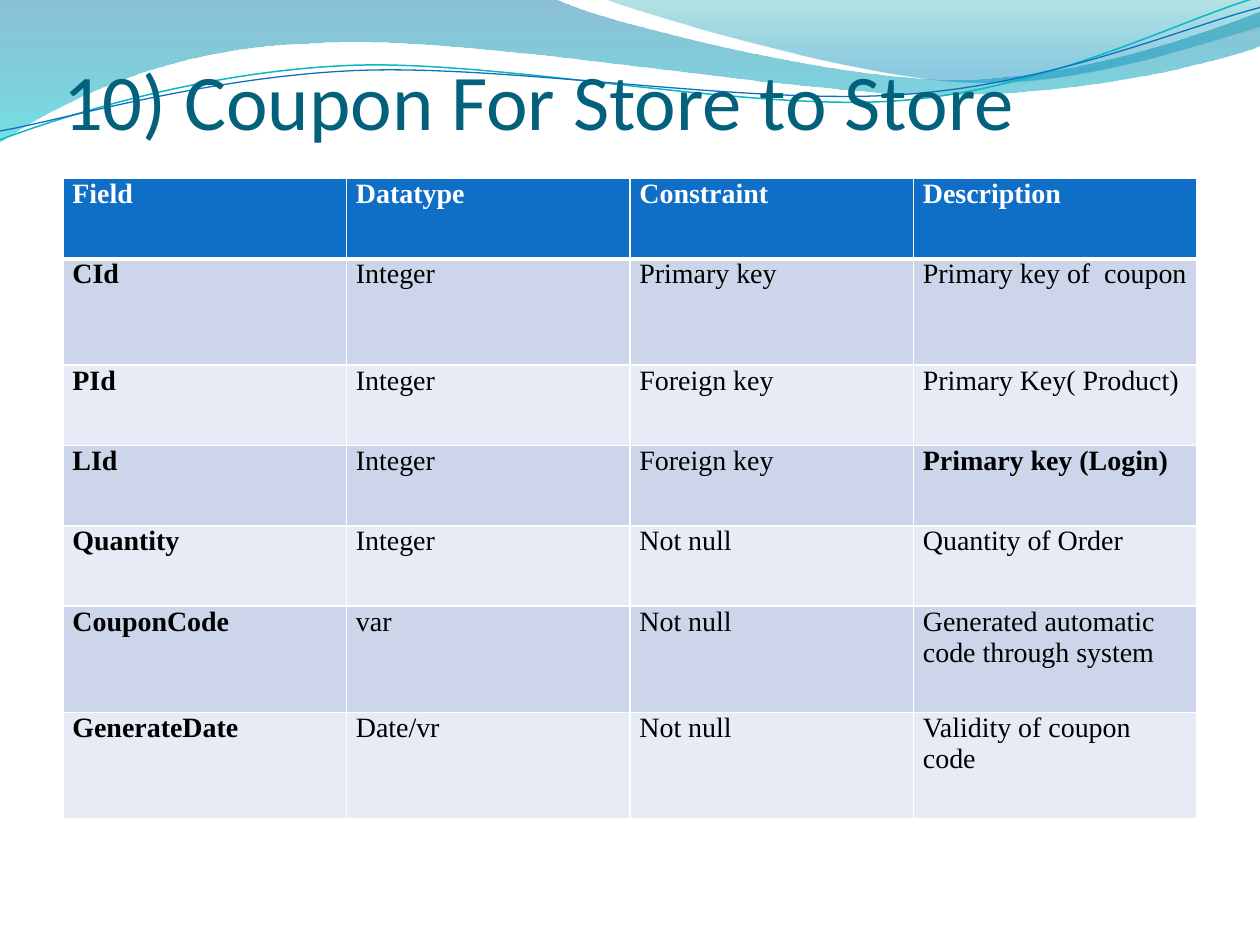
"""Build the coupon data dictionary slide with its wave header and field table."""
from dataclasses import dataclass

from lxml.etree import SubElement
from pptx import Presentation
from pptx.dml.color import RGBColor
from pptx.enum.text import MSO_ANCHOR, MSO_AUTO_SIZE, PP_ALIGN
from pptx.oxml import parse_xml
from pptx.oxml.ns import nsdecls, qn
from pptx.util import Cm, Pt

COLORS = {
    "title": "04617B", "header": "0F6FC6", "band_dark": "CCD5EA", "band_light": "E7EBF5",
    "white": "FFFFFF", "black": "000000", "deep_blue": "0074A1", "cyan": "00C6CF",
    "teal": "00A1A9", "sky": "008BBF", "teal_line": "0AB8BF",
}
CM_PER_INCH = 2.54
Point = tuple[float, float]


@dataclass
class Stop:
    color: str
    position: float
    opacity: int


@dataclass
class Wave:
    """Outline in inches: one point is a straight edge, three points are a curve."""
    start: Point
    segments: list[list[Point]]
    stops: tuple[Stop, ...] = ()
    line: str = ""
    line_width: float = 0


@dataclass
class Field:
    name: str
    datatype: str
    constraint: str
    description: str
    height: float = 1.62
    space_after: int = 0
    bold_description: bool = False


WAVES = [
    Wave((0, 0), [
        [(4.4, -0.01)],
        [(4.76, 0.17), (6.64, 0.63), (7.58, 0.63)],
        [(8.53, 0.63), (9.58, 0.26), (10, 0.09)],
        [(10.01, 0.36)],
        [(9.83, 0.44), (8.7, 0.76), (7.46, 0.75)],
        [(6.22, 0.75), (3.82, 0.28), (2.57, 0.34)],
        [(1.29, 0.36), (0.46, 0.83), (-0.01, 1.13)],
    ], stops=(Stop("deep_blue", 0, 45), Stop("cyan", 1, 55))),
    Wave((4.79, -0.01), [
        [(5.09, 0.11), (6.82, 0.62), (7.69, 0.65)],
        [(8.56, 0.69), (9.61, 0.32), (10, 0.21)],
        [(10, 0)],
    ], stops=(Stop("teal", 0, 30), Stop("sky", 0.8, 45))),
    Wave((0, 1.11), [
        [(0.48, 0.93), (1.58, 0.57), (2.77, 0.52)],
        [(3.95, 0.47), (5.93, 0.89), (7.13, 0.8)],
        [(8.33, 0.71), (9.38, 0.15), (9.98, -0.02)],
    ], line="teal_line", line_width=0.85),
    Wave((0, 1.04), [
        [(0.47, 0.96), (1.64, 0.61), (2.83, 0.56)],
        [(4.03, 0.51), (5.97, 0.84), (7.17, 0.75)],
        [(8.36, 0.67), (9.41, 0.21), (10, 0.06)],
    ], line="header", line_width=0.75),
]

HEADINGS = Field("Field", "Datatype", "Constraint", "Description", bold_description=True)
FIELDS = [
    Field("CId", "Integer", "Primary key", "Primary key of  coupon", height=2.14),
    Field("PId", "Integer", "Foreign key", "Primary Key( Product)", space_after=10),
    Field("LId", "Integer", "Foreign key", "Primary key (Login)", space_after=10,
          bold_description=True),
    Field("Quantity", "Integer", "Not null", "Quantity of Order"),
    Field("CouponCode", "var", "Not null", "Generated automatic code through system", height=2.14),
    Field("GenerateDate", "Date/vr", "Not null", "Validity of coupon code", height=2.14),
]


def rgb(name: str) -> RGBColor:
    return RGBColor.from_string(COLORS[name])


def to_length(point: Point) -> tuple[Cm, Cm]:
    x, y = point
    return Cm(x * CM_PER_INCH), Cm(y * CM_PER_INCH)


def bend(shape, segments: list[list[Point]]) -> None:
    """Join each run of three straight edges into one cubic curve."""
    edges = iter(list(shape._element.spPr.iter(qn("a:lnTo"))))
    for segment in segments:
        group = [next(edges) for _ in segment]
        if len(group) == 1:
            continue
        curve = parse_xml(f'<a:cubicBezTo {nsdecls("a")}/>')
        group[0].addprevious(curve)
        for edge in group:
            curve.append(edge[0])
            edge.getparent().remove(edge)


def draw_wave(page, wave: Wave) -> None:
    builder = page.shapes.build_freeform(*to_length(wave.start))
    points = [to_length(point) for segment in wave.segments for point in segment]
    builder.add_line_segments(points, close=False)
    shape = builder.convert_to_shape()
    bend(shape, wave.segments)
    shape.shadow.inherit = False
    if not wave.stops:
        shape.fill.background()
        shape.line.color.rgb = rgb(wave.line)
        shape.line.width = Pt(wave.line_width)
        return
    SubElement(next(shape._element.spPr.iter(qn("a:path"))), qn("a:close"))
    shape.line.fill.background()
    shape.fill.gradient()
    shape.fill.gradient_angle = 270
    for target, stop in zip(shape.fill.gradient_stops, wave.stops):
        target.color.rgb = rgb(stop.color)
        target.position = stop.position
    for color, stop in zip(shape._element.spPr.iter(qn("a:srgbClr")), wave.stops):
        SubElement(color, qn("a:alpha"), val=str(stop.opacity * 1000))


def set_title(page, text: str) -> None:
    title = page.shapes.title
    title.left, title.top, title.width, title.height = Cm(1.27), Cm(0.84), Cm(22.86), Cm(2.11)
    frame = title.text_frame
    frame.text = text
    frame.auto_size = MSO_AUTO_SIZE.NONE
    frame.word_wrap = True
    frame.vertical_anchor = MSO_ANCHOR.BOTTOM
    frame.margin_left = frame.margin_right = frame.margin_bottom = 0
    frame.margin_top = Cm(0.13)
    paragraph = frame.paragraphs[0]
    paragraph.alignment = PP_ALIGN.LEFT
    paragraph.font.name = "Calibri"
    paragraph.font.size = Pt(45)
    paragraph.font.color.rgb = rgb("title")
    page.shapes._spTree.append(title._element)


def set_borders(cell, bottom: float) -> None:
    widths = {"lnL": 1, "lnR": 1, "lnT": 1, "lnB": bottom}
    for index, (side, width) in enumerate(widths.items()):
        cell._tc.get_or_add_tcPr().insert(index, parse_xml(
            f'<a:{side} {nsdecls("a")} w="{Pt(width)}"><a:solidFill>'
            f'<a:srgbClr val="{COLORS["white"]}"/></a:solidFill></a:{side}>'))


def fill_cell(cell, text: str, fill: str, color: str, bold: bool, space_after: int) -> None:
    cell.fill.solid()
    cell.fill.fore_color.rgb = rgb(fill)
    cell.margin_left = cell.margin_right = Cm(0.19)
    cell.margin_top = cell.margin_bottom = 0
    cell.text = text
    paragraph = cell.text_frame.paragraphs[0]
    paragraph.space_after = Pt(space_after)
    paragraph.font.name = "Times New Roman"
    paragraph.font.size = Pt(16)
    paragraph.font.bold = bold
    paragraph.font.color.rgb = rgb(color)


def draw_table(page, fields: list[Field]) -> None:
    rows = [HEADINGS, *fields]
    height = sum(field.height for field in rows)
    table = page.shapes.add_table(
        len(rows), 4, Cm(1.27), Cm(3.6), Cm(22.86), Cm(height)).table
    for index, field in enumerate(rows):
        table.rows[index].height = Cm(field.height)
        is_header = index == 0
        fill = "header" if is_header else "band_dark" if index % 2 else "band_light"
        color = "white" if is_header else "black"
        texts = (field.name, field.datatype, field.constraint, field.description)
        bolds = (True, is_header, is_header, field.bold_description)
        for cell, text, bold in zip(table.rows[index].cells, texts, bolds):
            fill_cell(cell, text, fill, color, bold, field.space_after)
            set_borders(cell, bottom=3 if is_header else 1)


def main() -> None:
    deck = Presentation()
    deck.slide_width, deck.slide_height = Cm(25.4), Cm(19.05)
    page = deck.slides.add_slide(deck.slide_layouts[5])
    for wave in WAVES:
        draw_wave(page, wave)
    set_title(page, "10) Coupon For Store to Store")
    draw_table(page, FIELDS)
    deck.save("out.pptx")


if __name__ == "__main__":
    main()
